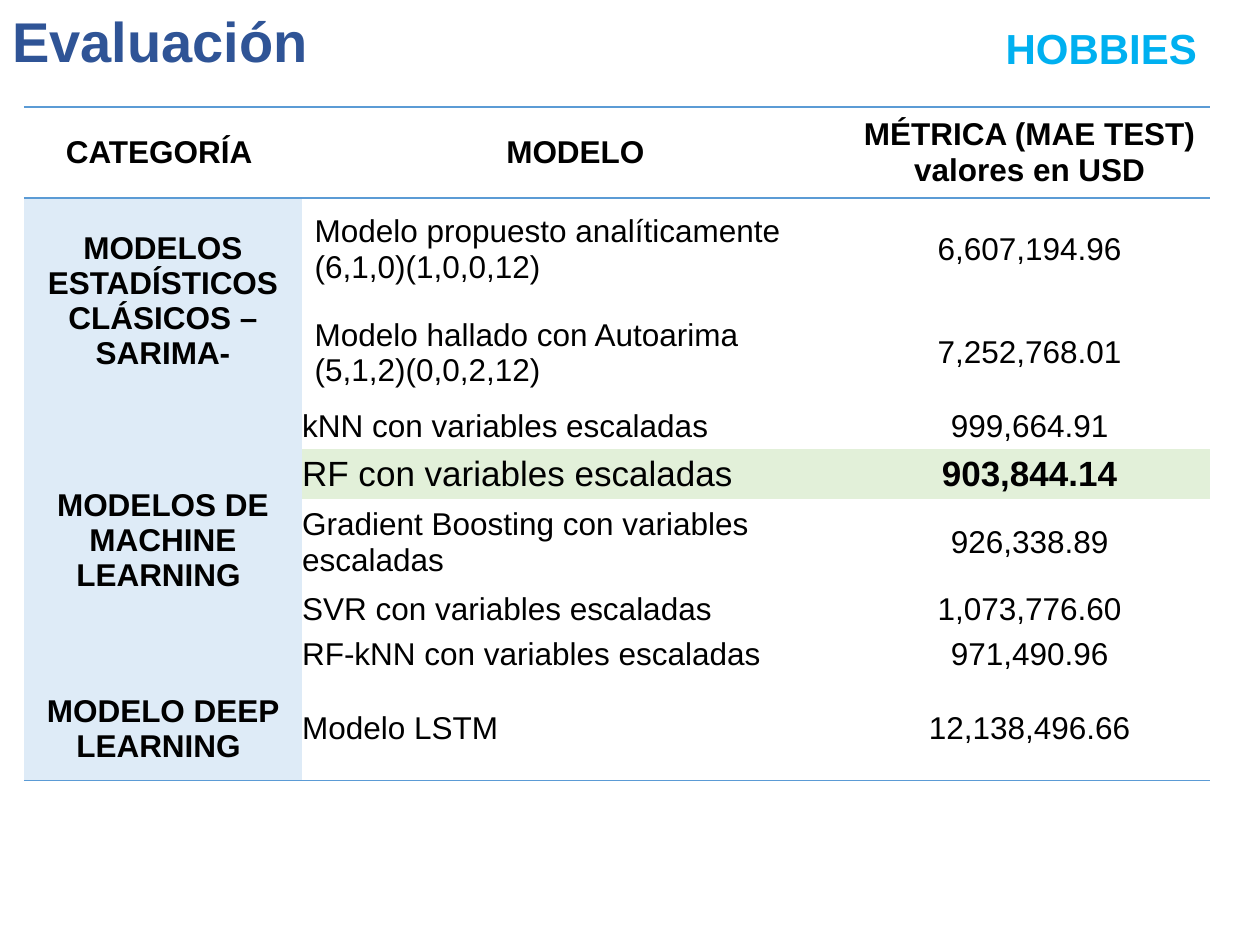
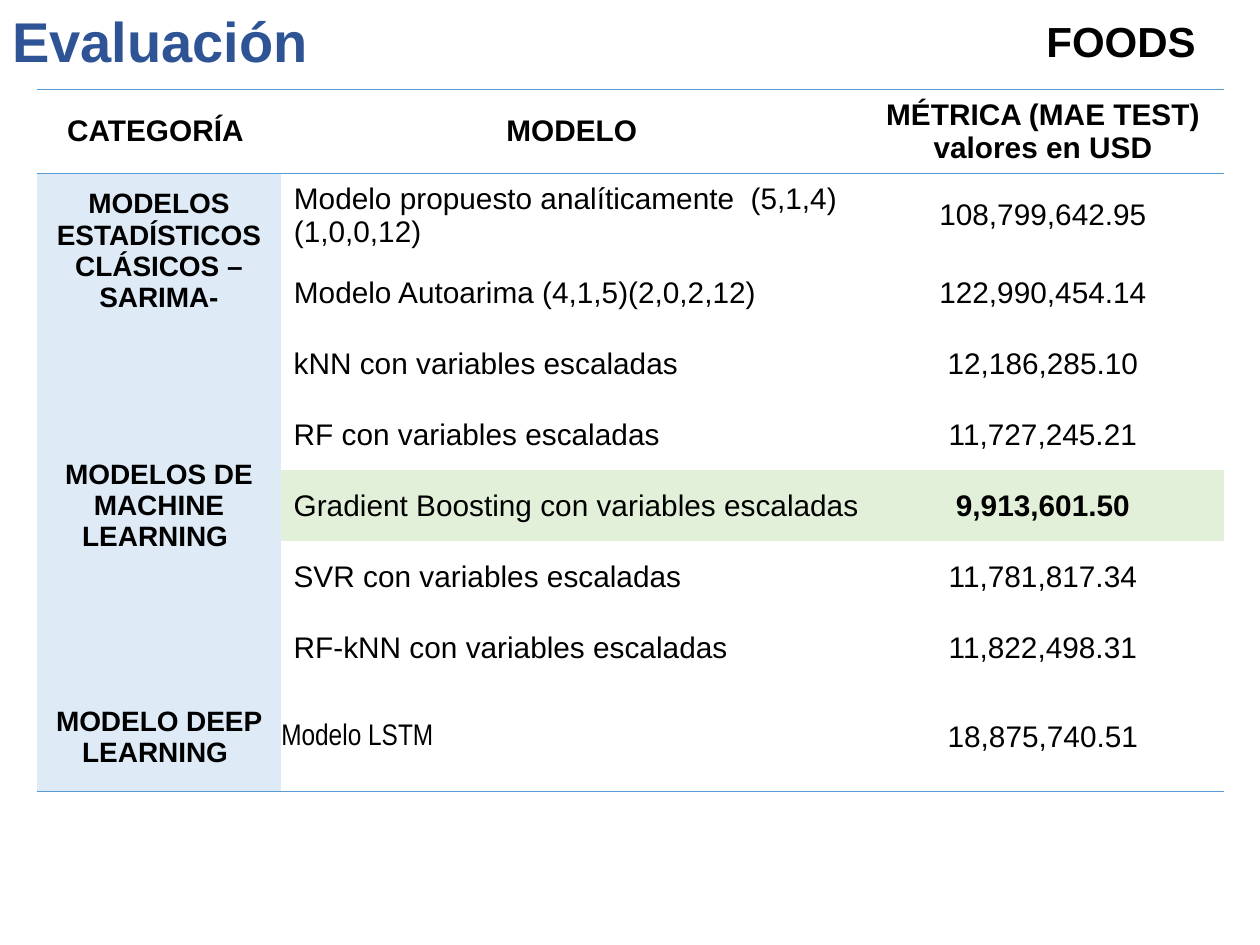
from dataclasses import dataclass
from lxml.etree import SubElement
from pptx import Presentation
from pptx.dml.color import RGBColor
from pptx.enum.text import MSO_ANCHOR, PP_ALIGN
from pptx.oxml import parse_xml
from pptx.oxml.ns import nsdecls, qn
from pptx.util import Cm, Pt


@dataclass(frozen=True)
class Theme:
    font: str = "Arial"
    narrow: str = "Arial Narrow"
    title: str = "2F5496"
    hobby: str = "00B0F0"
    ink: str = "000000"
    rule: str = "5B9BD5"
    group: str = "DEEBF7"
    best: str = "E2F0D9"
    title_size: int = 32
    tag_size: int = 24
    pad: float = 0.25
    plain_style: str = "{2D5ABB26-0587-4C30-8999-92F81FD0307C}"


THEME = Theme()
HEADS = ("CATEGORÍA ", "MODELO", "MÉTRICA (MAE TEST) valores en USD")
GROUPS = (
    ("MODELOS ESTADÍSTICOS CLÁSICOS – SARIMA-", 2),
    ("MODELOS DE MACHINE LEARNING ", 5),
    ("MODELO DEEP LEARNING ", 1),
)
LEARNERS = [
    f"{name} con variables escaladas"
    for name in ("kNN", "RF", "Gradient Boosting", "SVR", "RF-kNN")
]
DEEP = "Modelo LSTM"

HOBBIES = {
    "tag": "HOBBIES", "tag_at": (18.62, 0.33), "tag_color": THEME.hobby,
    "at": (0.48, 2.16), "cols": (5.61, 11.02, 7.29),
    "rows": (1.83, 2.08, 2.08, 0.91, 0.99, 1.78, 0.91, 0.91, 2.08),
    "size": 18, "group_size": 18, "best_size": 20, "best": 3,
    "indent": 0, "deep_font": THEME.font,
    "models": ["Modelo propuesto analíticamente  (6,1,0)(1,0,0,12)",
               "Modelo hallado con Autoarima (5,1,2)(0,0,2,12)",
               *LEARNERS, DEEP],
    "errors": ("6,607,194.96", "7,252,768.01", "999,664.91", "903,844.14",
               "926,338.89", "1,073,776.60", "971,490.96", "12,138,496.66"),
}
FOODS = {
    "tag": "FOODS", "tag_at": (19.02, 0.18), "tag_color": THEME.ink,
    "at": (0.74, 1.8), "cols": (4.93, 11.71, 7.29),
    "rows": (1.69, 1.69, *[1.43] * 6, 2.19),
    "size": 17, "group_size": 16, "best_size": 17, "best": 4,
    "indent": THEME.pad, "deep_font": THEME.narrow,
    "models": ["Modelo propuesto analíticamente  (5,1,4)(1,0,0,12)",
               "Modelo Autoarima (4,1,5)(2,0,2,12)",
               *LEARNERS, DEEP],
    "errors": ("108,799,642.95", "122,990,454.14", "12,186,285.10",
               "11,727,245.21", "9,913,601.50", "11,781,817.34",
               "11,822,498.31", "18,875,740.51"),
}


def write(frame, text, size, color=THEME.ink, bold=False, center=False,
          font=THEME.font):
    frame.word_wrap = True
    para = frame.paragraphs[0]
    para.alignment = PP_ALIGN.CENTER if center else PP_ALIGN.LEFT
    run = para.add_run()
    run.text = text
    run.font.size = Pt(size)
    run.font.name = font
    run.font.bold = bold
    run.font.color.rgb = RGBColor.from_string(color)


def label(slide, box, text, size, **style):
    shape = slide.shapes.add_textbox(*map(Cm, box))
    write(shape.text_frame, text, size, **style)


def rule(cell, *edges):
    """Draw the accent line on the given edges, such as lnT and lnB."""
    props = cell._tc.get_or_add_tcPr()
    for spot, edge in enumerate(edges):
        line = parse_xml(f'<a:{edge} {nsdecls("a")} w="12700"/>')
        fill = SubElement(line, qn("a:solidFill"))
        SubElement(fill, qn("a:srgbClr"), val=THEME.rule)
        props.insert(spot, line)


def paint(cell, color):
    cell.fill.solid()
    cell.fill.fore_color.rgb = RGBColor.from_string(color)


def pad(cell, left, right):
    cell.margin_left, cell.margin_right = Cm(left), Cm(right)
    cell.margin_top = cell.margin_bottom = 0


def add_grid(slide, board):
    """Add an empty, unstyled table with the board's row and column sizes."""
    cols, rows = board["cols"], board["rows"]
    box = (*board["at"], sum(cols), sum(rows))
    grid = slide.shapes.add_table(len(rows), len(cols), *map(Cm, box)).table
    grid.first_row = grid.horz_banding = False
    grid._tbl.tblPr.find(qn("a:tableStyleId")).text = THEME.plain_style
    for col, width in zip(grid.columns, cols):
        col.width = Cm(width)
    for row, height in zip(grid.rows, rows):
        row.height = Cm(height)
    for cell in grid.iter_cells():
        cell.vertical_anchor = MSO_ANCHOR.MIDDLE
        cell.fill.background()
    return grid


def fill_heads(grid, board):
    for col, head in enumerate(HEADS):
        cell = grid.cell(0, col)
        write(cell.text_frame, head, board["size"], bold=True, center=True)
        rule(cell, "lnT", "lnB")


def fill_groups(grid, board):
    top = 1
    for name, count in GROUPS:
        for row in range(top, top + count):
            paint(grid.cell(row, 0), THEME.group)
            pad(grid.cell(row, 0), THEME.pad, THEME.pad)
        first = grid.cell(top, 0)
        if count > 1:
            first.merge(grid.cell(top + count - 1, 0))
        write(first.text_frame, name, board["group_size"], bold=True,
              center=True)
        top += count


def fill_scores(grid, board):
    classic = GROUPS[0][1]
    for index, pair in enumerate(zip(board["models"], board["errors"])):
        model, error = grid.cell(index + 1, 1), grid.cell(index + 1, 2)
        best, deep = index == board["best"], pair[0] == DEEP
        size = board["best_size" if best else "size"]
        if index >= classic:
            pad(model, 0 if deep else board["indent"], 0)
            pad(error, 0, 0)
        if best:
            paint(model, THEME.best)
            paint(error, THEME.best)
        write(model.text_frame, pair[0], size,
              font=board["deep_font"] if deep else THEME.font)
        write(error.text_frame, pair[1], size, bold=best, center=True)


def add_board(deck, board):
    slide = deck.slides.add_slide(deck.slide_layouts[6])
    label(slide, (0, 0, 25.4, 1.63), "Evaluación", THEME.title_size,
          color=THEME.title, bold=True)
    grid = add_grid(slide, board)
    fill_heads(grid, board)
    fill_groups(grid, board)
    fill_scores(grid, board)
    for col in range(len(HEADS)):
        rule(grid.cell(len(board["rows"]) - 1, col), "lnB")
    label(slide, (*board["tag_at"], 7.16, 1.27), board["tag"], THEME.tag_size,
          color=board["tag_color"], bold=True, center=True)


def main():
    deck = Presentation()
    deck.slide_width, deck.slide_height = Cm(25.4), Cm(19.05)
    for board in (HOBBIES, FOODS):
        add_board(deck, board)
    deck.save("out.pptx")


if __name__ == "__main__":
    main()
